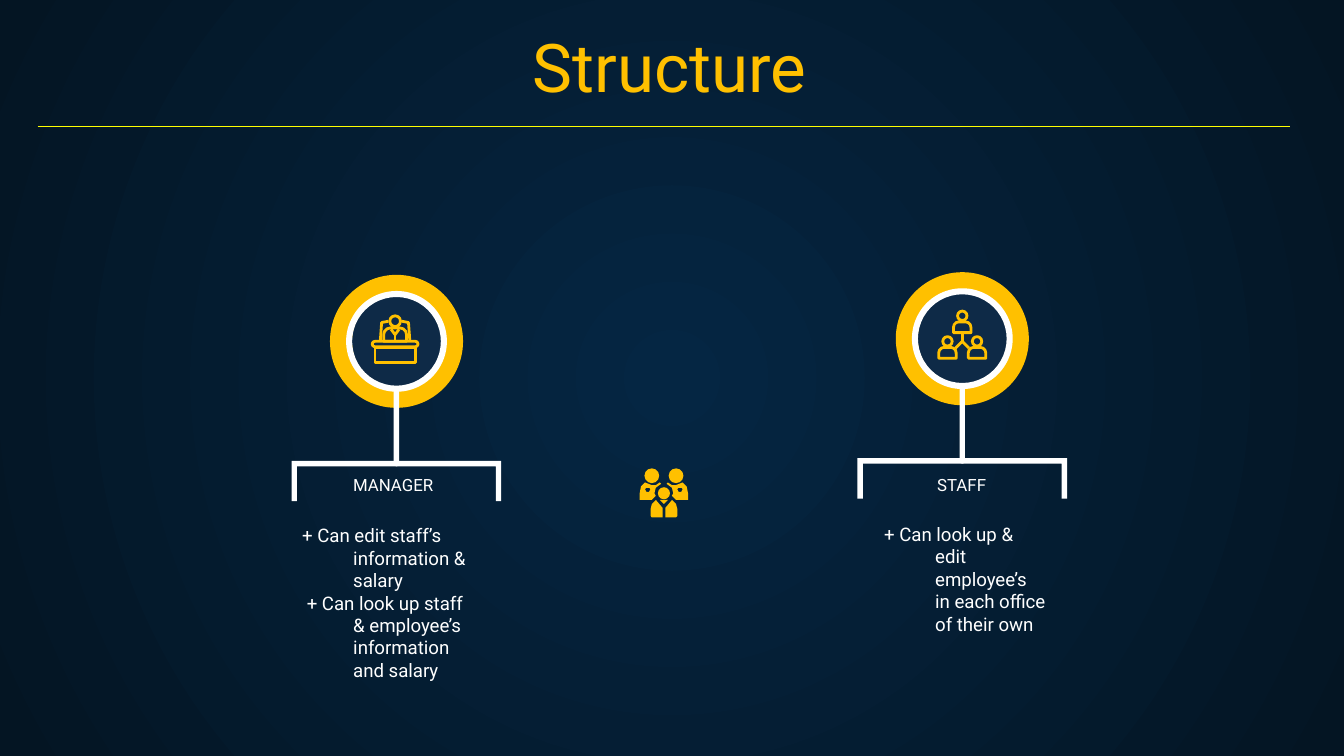
from dataclasses import dataclass

import pptx
import pptx.dml.color
import pptx.enum.shapes
import pptx.enum.text
import pptx.oxml
import pptx.oxml.ns
import pptx.util

Inches = pptx.util.Inches
Pt = pptx.util.Pt
RGB = pptx.dml.color.RGBColor
SHAPE = pptx.enum.shapes.MSO_SHAPE
ALIGN = pptx.enum.text.PP_ALIGN
ANCHOR = pptx.enum.text.MSO_ANCHOR
qn = pptx.oxml.ns.qn
NS = pptx.oxml.ns.nsdecls("a")

GOLD = RGB(0xFF, 0xC0, 0x00)
WHITE = RGB(0xFF, 0xFF, 0xFF)
YELLOW = RGB(0xFF, 0xFF, 0x00)
NAVY = RGB(0x0E, 0x2A, 0x47)
BG_CENTER = RGB(0x05, 0x26, 0x43)
BG_EDGE = RGB(0x04, 0x15, 0x23)

Points = list[tuple[float, float]]


@dataclass
class Role:
    name: str
    cx: float
    cy: float
    name_left: float
    duties: list[str]
    duties_box: tuple[float, float, float, float]


ROLES = [
    Role("MANAGER", 2.95, 2.54, 1.79,
         ["+ Can edit staff’s information & salary",
          " + Can look up staff & employee’s information and salary"],
         (2.03, 3.8, 1.62, 1.48)),
    Role("STAFF", 7.16, 2.52, 6.02,
         ["+ Can look up & edit employee’s in each office of their own"],
         (6.36, 3.79, 1.52, 0.55)),
]


def paint(sp, color: RGB, outline: bool = False):
    sp.shadow.inherit = False
    if outline:
        sp.fill.background()
        sp.line.color.rgb = color
        sp.line.width = Pt(1.5)
    else:
        sp.fill.solid()
        sp.fill.fore_color.rgb = color
        sp.line.fill.background()
    return sp


def centered(s, kind, cx: float, cy: float, w: float, h: float, color: RGB,
             outline: bool = False):
    sp = s.shapes.add_shape(kind, Inches(cx - w / 2), Inches(cy - h / 2), Inches(w), Inches(h))
    return paint(sp, color, outline)


def polygon(s, cx: float, cy: float, contours: list[Points], color: RGB,
            side: int = 1, outline: bool = False):
    placed = [[(Inches(cx + side * x), Inches(cy + y)) for x, y in c] for c in contours]
    fb = s.shapes.build_freeform(*placed[0][0])
    fb.add_line_segments(placed[0][1:], close=not outline)
    for contour in placed[1:]:
        fb.move_to(*contour[0])
        fb.add_line_segments(contour[1:], close=not outline)
    return paint(fb.convert_to_shape(), color, outline)


def add_text(s, box: tuple[float, float, float, float], lines: list[str], size: int,
             color: RGB, heading: bool = True) -> None:
    tf = s.shapes.add_textbox(*map(Inches, box)).text_frame
    tf.word_wrap = True
    tf.margin_left = tf.margin_right = tf.margin_top = tf.margin_bottom = Inches(0.1)
    tf.vertical_anchor = ANCHOR.BOTTOM if heading else ANCHOR.TOP
    tf.text = "\n".join(lines)
    for p in tf.paragraphs:
        p.font.name = "Roboto"
        p.font.size = Pt(size)
        p.font.color.rgb = color
        if heading:
            p.alignment = ALIGN.CENTER
        else:
            pPr = p._p.get_or_add_pPr()
            pPr.set("marL", str(Inches(0.5)))
            pPr.set("indent", str(Inches(-0.38)))


def set_background(s) -> None:
    fill = s.background.fill
    fill.gradient()
    for stop, color in zip(fill.gradient_stops, (BG_CENTER, BG_EDGE)):
        stop.color.rgb = color
    grad = s.element.find(".//" + qn("a:gradFill"))
    grad.replace(grad.find(qn("a:lin")), pptx.oxml.parse_xml(
        f'<a:path {NS} path="circle">'
        '<a:fillToRect l="50000" t="50000" r="50000" b="50000"/></a:path>'))


def add_rule(s) -> None:
    cn = s.shapes.add_connector(pptx.enum.shapes.MSO_CONNECTOR.STRAIGHT,
                                Inches(0.28), Inches(0.94), Inches(9.6), Inches(0.94))
    cn.line.color.rgb = YELLOW
    cn.line.width = Pt(0.75)
    cn._element.spPr.append(pptx.oxml.parse_xml(f"<a:effectLst {NS}/>"))


def add_role(s, role: Role) -> None:
    cx, cy = role.cx, role.cy
    centered(s, SHAPE.OVAL, cx, cy, 0.99, 0.99, GOLD)
    half, bar, drop = 0.78, 0.04, 0.3
    polygon(s, cx, cy + 0.89, [[
        (-half, 0), (half, 0), (half, drop), (half - bar, drop), (half - bar, bar),
        (bar - half, bar), (bar - half, drop), (-half, drop)]], WHITE)
    stem = centered(s, SHAPE.ROUNDED_RECTANGLE, cx, cy + 0.43, 0.04, 1, WHITE)
    stem.adjustments[0] = 0.5
    centered(s, SHAPE.OVAL, cx + 0.02, cy, 0.7, 0.7, NAVY)
    ring = centered(s, SHAPE.DONUT, cx, cy, 0.75, 0.75, WHITE)
    ring.adjustments[0] = 0.06
    add_text(s, (role.name_left, 3.55, 2.27, 0.21), [role.name], 9, WHITE)
    add_text(s, role.duties_box, role.duties, 10, WHITE, heading=False)


def add_person(s, cx: float, head_y: float, head: float, body_w: float, body_h: float) -> None:
    centered(s, SHAPE.OVAL, cx, head_y, head, head, GOLD, outline=True)
    body = centered(s, SHAPE.ROUND_2_SAME_RECTANGLE, cx, head_y + head / 2 + 0.01 + body_h / 2,
                    body_w, body_h, GOLD, outline=True)
    body.adjustments[0] = 0.5


def add_desk_icon(s, cx: float, cy: float) -> None:
    add_person(s, cx, cy - 0.13, 0.08, 0.17, 0.1)
    polygon(s, cx, cy, [[(-0.03, -0.07), (0, -0.03), (0.03, -0.07)],
                        [(0, -0.03), (0, 0.02)]], GOLD, outline=True)
    for side in (-1, 1):
        polygon(s, cx, cy, [[(0.11, 0.02), (0.1, -0.12), (0.05, -0.13)]], GOLD, side, True)
    top = centered(s, SHAPE.ROUNDED_RECTANGLE, cx, cy + 0.04, 0.34, 0.04, GOLD, outline=True)
    top.adjustments[0] = 0.5
    centered(s, SHAPE.RECTANGLE, cx, cy + 0.12, 0.3, 0.11, GOLD, outline=True)


def add_team_icon(s, cx: float, cy: float) -> None:
    for dx, dy in ((0, -0.14), (-0.11, 0.05), (0.11, 0.05)):
        add_person(s, cx + dx, cy + dy, 0.07, 0.13, 0.08)
    polygon(s, cx, cy, [[(0, -0.02), (0, 0.05)],
                        [(-0.05, 0.1), (0, 0.05), (0.05, 0.1)]], GOLD, outline=True)


def add_group_icon(s, cx: float, cy: float) -> None:
    back = [(-0.14, -0.08), (-0.17, -0.05), (-0.18, 0), (-0.18, 0.05), (-0.09, 0.05),
            (-0.06, 0.02), (-0.07, 0), (-0.06, -0.04), (-0.02, -0.07), (-0.03, -0.08),
            (-0.06, -0.06), (-0.09, -0.06)]
    gap = [(-0.13, -0.04), (-0.11, -0.04), (-0.1, -0.03), (-0.11, -0.01),
           (-0.13, -0.01), (-0.14, -0.03)]
    front = [(-0.06, 0.05), (-0.09, 0.08), (-0.1, 0.12), (-0.1, 0.17), (-0.09, 0.18),
             (-0.01, 0.18), (-0.01, 0.11)]
    for side in (1, -1):
        centered(s, SHAPE.OVAL, cx - side * 0.09, cy - 0.13, 0.11, 0.11, GOLD)
        polygon(s, cx, cy, [back, gap], GOLD, side)
        polygon(s, cx, cy, [front], GOLD, side)
    centered(s, SHAPE.OVAL, cx, cy, 0.09, 0.09, GOLD)
    polygon(s, cx, cy, [[(-0.03, 0.05), (0.03, 0.05), (0, 0.08)]], GOLD)


def main() -> None:
    prs = pptx.Presentation()
    prs.slide_width = Inches(10)
    prs.slide_height = Inches(10 * 9 / 16)
    s = prs.slides.add_slide(prs.slide_layouts[6])
    set_background(s)
    add_text(s, (0.32, 0.23, 9.32, 0.66), ["Structure"], 36, GOLD)
    add_rule(s)
    for role in ROLES:
        add_role(s, role)
    add_desk_icon(s, 2.94, 2.52)
    add_team_icon(s, 7.16, 2.49)
    add_group_icon(s, 4.94, 3.67)
    prs.save("out.pptx")


if __name__ == "__main__":
    main()
